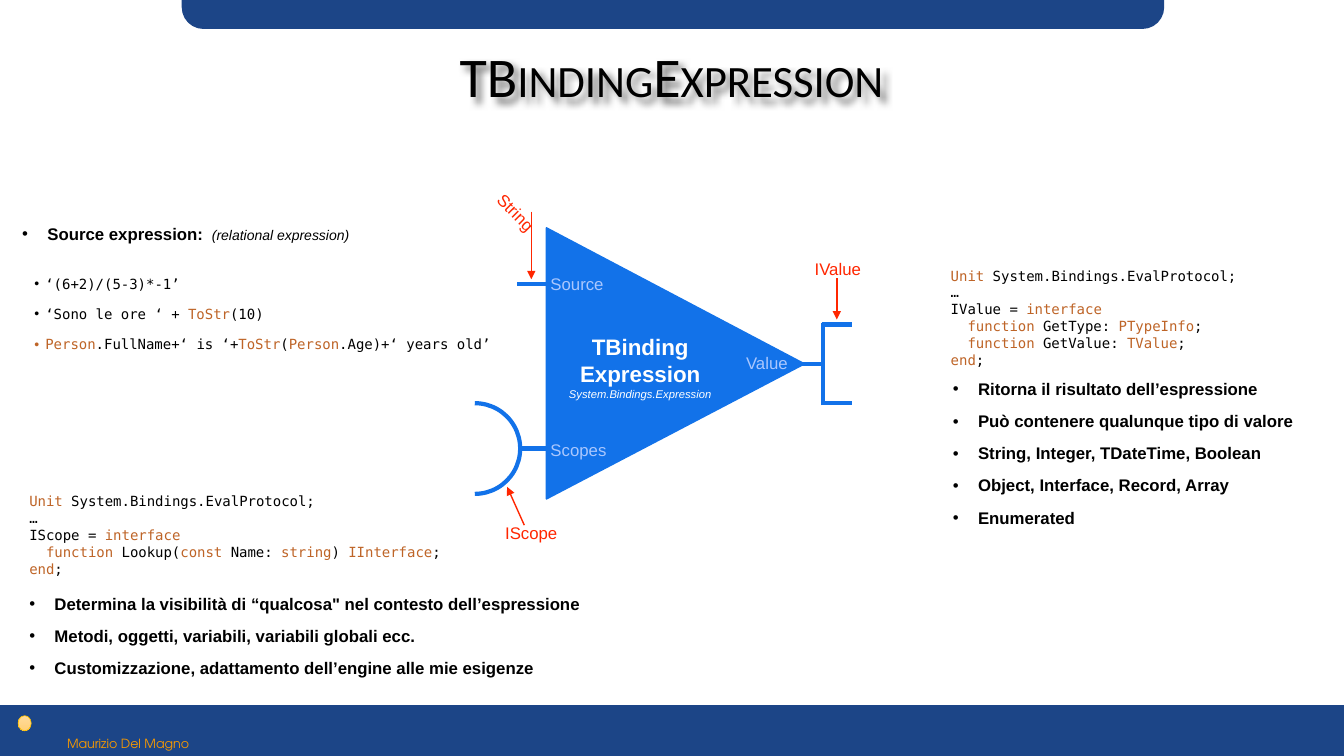
from lxml import etree
from pptx import Presentation, util as u
from pptx.dml.color import RGBColor
from pptx.enum import shapes, text
from pptx.oxml import parse_xml
from pptx.oxml.ns import nsdecls, qn

HUE = {"navy": "1C4587", "blue": "1272E9", "pale": "AAC7FE", "red": "FF2600",
       "rust": "BE6427", "gold": "F79901", "black": "000000", "white": "FFFFFF",
       "sun": "FFDB9B", "sand": "FFD078", "rim": "FFC102"}
SANS, MONO = "Arial", "DejaVu Sans Mono"
LEFT, MID = text.PP_ALIGN.LEFT, text.PP_ALIGN.CENTER
KIND = shapes.MSO_SHAPE


def cell(n):
    """One grid column or row is a tenth of an inch."""
    return u.Inches(n / 10)


def tint(name):
    return RGBColor.from_string(HUE[name])


class Slide:
    def __init__(self, deck, layout):
        self.page = deck.slides.add_slide(deck.slide_layouts[layout])
        self.items = self.page.shapes

    def place(self, item, box):
        item.left, item.top, item.width, item.height = map(cell, box)
        return item

    def paint(self, item, fill, line, width=1):
        item.shadow.inherit = False
        if fill:
            item.fill.solid()
            item.fill.fore_color.rgb = tint(fill)
        else:
            item.fill.background()
        item.line.color.rgb = tint(line)
        item.line.width = u.Pt(width)
        return item

    def shape(self, kind, box, fill, line, width=1):
        item = self.items.add_shape(kind, *map(cell, box))
        return self.paint(item, fill, line, width)

    def outline(self, points, hue):
        dots = [(cell(x), cell(y)) for x, y in points]
        pen = self.items.build_freeform(*dots[0], scale=1.0)
        pen.add_line_segments(dots[1:], close=True)
        return self.paint(pen.convert_to_shape(), hue, hue)

    def line(self, ends, hue, width, arrow=False):
        item = self.items.add_connector(shapes.MSO_CONNECTOR.STRAIGHT, *map(cell, ends))
        item.line.color.rgb = tint(hue)
        item.line.width = u.Pt(width)
        props = item._element.spPr
        if arrow:
            etree.SubElement(props.find(qn("a:ln")), qn("a:tailEnd"), type="triangle")
        etree.SubElement(props, qn("a:effectLst"))

    def frame(self, item, wrap, grow):
        body = item.text_frame
        body.word_wrap = wrap
        body.auto_size = text.MSO_AUTO_SIZE.SHAPE_TO_FIT_TEXT if grow else text.MSO_AUTO_SIZE.NONE
        body.margin_left = body.margin_right = cell(0.5)
        body.margin_top = body.margin_bottom = cell(0.5)
        return body

    def style(self, run, size, hue, font=SANS, bold=False, slant=False):
        run.font.size, run.font.name = u.Pt(size), font
        run.font.bold, run.font.italic = bold, slant
        run.font.color.rgb = tint(hue)

    def label(self, box, words, size=12, hue="black", font=SANS, align=LEFT, bold=False, turn=0):
        item = self.items.add_textbox(*map(cell, box))
        item.rotation = turn
        body = self.frame(item, False, True)
        body.text = words
        for para in body.paragraphs:
            para.alignment = align
            for run in para.runs:
                self.style(run, size, hue, font, bold)
        return body

    def title(self, box, words):
        item = self.place(self.items.title, box)
        body = self.frame(item, True, False)
        body.vertical_anchor = text.MSO_ANCHOR.MIDDLE
        body.text = words
        para = body.paragraphs[0]
        para.alignment, para.line_spacing = MID, 0.9
        self.style(para.runs[0], 40, "black", "Calibri")
        para.runs[0].font._element.set("cap", "small")
        item.fill.background()
        item._element.spPr.append(parse_xml(
            f'<a:effectLst {nsdecls("a")}><a:outerShdw blurRad="50800" dist="50800" dir="2700000">'
            '<a:srgbClr val="000000"><a:alpha val="50000"/></a:srgbClr></a:outerShdw></a:effectLst>'))

    def bullet(self, para, indent):
        props = para._element.get_or_add_pPr()
        props.set("marL", str(cell(indent)))
        props.set("indent", str(-cell(indent)))
        etree.SubElement(props, qn("a:buFont"), typeface=SANS)
        etree.SubElement(props, qn("a:buChar"), char="•")

    def points(self, item, box, rows):
        """Bold bullet list in a placeholder or a text box."""
        body = self.frame(self.place(item, box), True, False)
        body.text = "\n".join(rows)
        for i, para in enumerate(body.paragraphs):
            self.bullet(para, 2.5)
            para.line_spacing = 0.9
            para.space_before = u.Pt(10 if i else 0)
            self.style(para.runs[0], 12, "black", bold=True)
        return body

    def code(self, box, rows, dots=False):
        """Code lines; words between bars take the accent colour."""
        body = self.frame(self.items.add_textbox(*map(cell, box)), False, True)
        for i, row in enumerate(rows):
            para = body.add_paragraph() if i else body.paragraphs[0]
            if dots:
                self.bullet(para, 1.1)
                para.line_spacing = 1.8
            for j, part in enumerate(row.split("|")):
                if part:
                    run = para.add_run()
                    run.text = part
                    self.style(run, 10, "rust" if j % 2 else "black", MONO)


def main():
    deck = Presentation()
    deck.slide_width, deck.slide_height = cell(133.3), cell(75)
    s = Slide(deck, 3)
    lists = s.page.placeholders

    # Bars, footer and title
    bar = s.shape(KIND.ROUNDED_RECTANGLE, (18.1, -11.1, 97.3, 13.9), "navy", "navy")
    bar.adjustments[0] = 0.15
    s.shape(KIND.RECTANGLE, (0, 70, 133.3, 5), "navy", "navy")
    s.label((4.9, 72.5, 15.6, 2.5), "Maurizio Del Magno", 9, "gold", "TeX Gyre Adventor", MID)
    dot = s.shape(KIND.OVAL, (1.8, 71, 1.3, 1.5), "sun", "rim", 0.5)
    dot.fill.gradient()
    dot.fill.gradient_angle = 270
    for stop, hue in zip(dot.fill.gradient_stops, ("sun", "sand")):
        stop.color.rgb = tint(hue)
    s.title((1, 4.3, 131.2, 7.1), "TBindingExpression")

    # Triangle with its pins, output bracket and scope arc
    s.outline([(79.8, 36.1), (54.2, 49.5), (54.2, 22.6)], "blue")
    for ends in ((78.8, 36.1, 81.7, 36.1), (81.6, 40.2, 81.6, 32),
                 (81.5, 32.2, 84.5, 32.2), (81.5, 40, 84.5, 40),
                 (51.3, 28.2, 54.3, 28.2), (51.6, 44.5, 54.3, 44.5)):
        s.line(ends, "blue", 3)
    arc = s.shape(KIND.ARC, (42.6, 40, 9, 9), None, "blue", 3)
    arc.adjustments[0], arc.adjustments[1] = 162, 54

    # Names inside the triangle
    for x, y, wide, name in ((54.1, 26.7, 6.4, "Source"), (73.5, 34.5, 5.3, "Value"),
                             (54.1, 43.1, 6.7, "Scopes")):
        s.label((x, y, wide, 2.9), name, hue="pale")
    core = s.label((55.9, 32.6, 15.2, 7.2), "TBinding\nExpression\nSystem.Bindings.Expression",
                   16, "white", align=MID, bold=True)
    s.style(core.paragraphs[2].runs[0], 8, "white", slant=True)

    # Red arrows and their types
    for ends in ((83, 27.6, 83, 31.7), (52, 52.1, 50.3, 48.3), (52.7, 21, 52.7, 27.7)):
        s.line(ends, "red", 1, arrow=True)
    for box, name, turn in (((80.3, 25.2, 5.7, 2.9), "IValue", 0),
                            ((49.6, 51.4, 6.8, 2.9), "IScope", 0),
                            ((48.5, 19.7, 5.6, 2.9), "String", 45)):
        s.label(box, name, hue="red", turn=turn)

    # Source expression, on the left
    head = s.points(s.items.add_textbox(0, 0, 0, 0), (1.7, 21.9, 36.2, 3.5), ["Source expression: "])
    note = head.paragraphs[0].add_run()
    note.text = " (relational expression)"
    s.style(note, 10, "black", slant=True)
    s.code((2.9, 25.5, 46.4, 8), [
        "‘(6+2)/(5-3)*-1’",
        "‘Sono le ore ‘ + |ToStr|(10)",
        "|Person|.FullName+‘ is ‘+|ToStr|(|Person|.Age)+‘ years old’"], dots=True)

    # Interfaces
    unit = ["|Unit| System.Bindings.EvalProtocol;", "…"]
    s.code((93.8, 26, 30.3, 10.2), unit + [
        "IValue = |interface|",
        "  |function| GetType: |PTypeInfo|;",
        "  |function| GetValue: |TValue|;",
        "|end|;"])
    s.code((2.4, 48.4, 42.8, 8.6), unit + [
        "IScope = |interface|",
        "  |function| Lookup(|const| Name: |string|) |IInterface|;",
        "|end|;"])

    # Lists below the interfaces
    s.points(lists[1], (94, 37.3, 36.2, 17.1), [
        "Ritorna il risultato dell’espressione",
        "Può contenere qualunque tipo di valore",
        "String, Integer, TDateTime, Boolean",
        "Object, Interface, Record, Array",
        "Enumerated"])
    s.points(lists[2], (2.4, 58.6, 57.5, 11.4), [
        "Determina la visibilità di “qualcosa\" nel contesto dell’espressione",
        "Metodi, oggetti, variabili, variabili globali ecc.",
        "Customizzazione, adattamento dell’engine alle mie esigenze"])

    deck.save("out.pptx")


if __name__ == "__main__":
    main()
